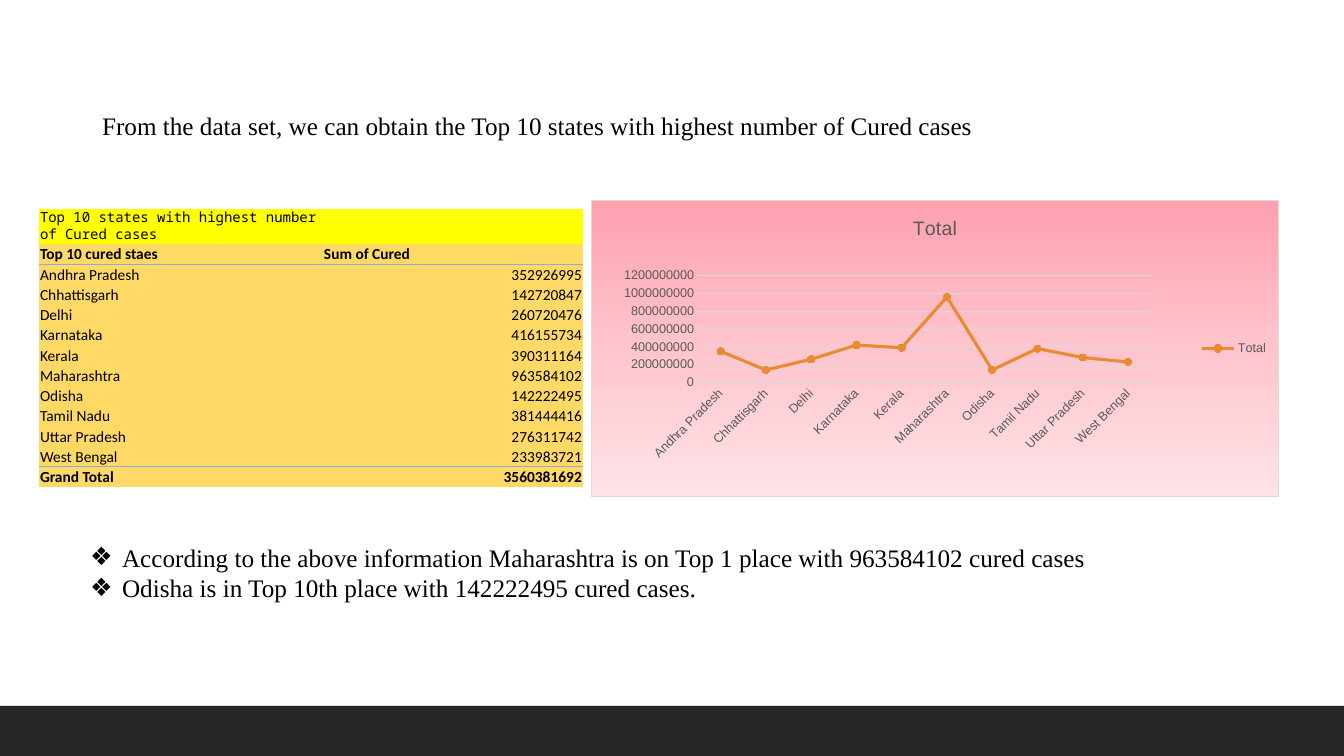
from lxml import etree
from pptx import Presentation
from pptx.chart.data import CategoryChartData
from pptx.dml.color import RGBColor
from pptx.enum.chart import XL_CHART_TYPE, XL_LEGEND_POSITION, XL_MARKER_STYLE, XL_TICK_MARK
from pptx.enum.shapes import MSO_SHAPE
from pptx.enum.text import MSO_ANCHOR, MSO_AUTO_SIZE, PP_ALIGN
from pptx.oxml import parse_xml
from pptx.oxml.ns import nsdecls, qn
from pptx.util import Emu, Pt

HEADING = "From the data set, we can obtain the Top 10 states with highest number of Cured cases"
TABLE_TITLE = "Top 10 states with highest number of Cured cases"
TABLE_HEADER = ("Top 10 cured staes", "Sum of Cured")
CURED = {
    "Andhra Pradesh": 352926995,
    "Chhattisgarh": 142720847,
    "Delhi": 260720476,
    "Karnataka": 416155734,
    "Kerala": 390311164,
    "Maharashtra": 963584102,
    "Odisha": 142222495,
    "Tamil Nadu": 381444416,
    "Uttar Pradesh": 276311742,
    "West Bengal": 233983721,
}
FINDINGS = [
    "According to the above information Maharashtra is on Top 1 place with 963584102 cured cases",
    "Odisha is in Top 10th place with 142222495 cured cases.",
]

BLACK = RGBColor(0x00, 0x00, 0x00)
CHARCOAL = RGBColor(0x26, 0x26, 0x26)
YELLOW = RGBColor(0xFF, 0xFF, 0x00)
GOLD = RGBColor(0xFF, 0xD9, 0x66)
RULE_BLUE = RGBColor(0x8E, 0xA9, 0xDB)
ORANGE = RGBColor(0xE8, 0x8B, 0x33)
GREY = RGBColor(0x59, 0x59, 0x59)
PALE_GREY = RGBColor(0xD9, 0xD9, 0xD9)
PINKS = {0: RGBColor(0xFF, 0xA0, 0xAF), 50: RGBColor(0xFF, 0xC5, 0xCE), 100: RGBColor(0xFF, 0xE3, 0xE7)}

SLIDE_WIDTH, SLIDE_HEIGHT = 1344, 756
FOOTER_TOP = 706
COLUMN_WIDTHS = (284, 260)
TITLE_ROW, DATA_ROWS = 35, 243
BULLET_INDENT = 32
PLOT_LAYOUT = {"x": 0.155, "y": 0.254, "w": 0.659, "h": 0.361}
NO_TABLE_STYLE = "{2D5ABB26-0587-4C30-8999-92F81FD0307C}"


def px(length):
    return Emu(round(length * 914400 / 100.8))


def place(shape, left, top, width, height):
    shape.left, shape.top, shape.width, shape.height = map(px, (left, top, width, height))


def style(font, size, name, color=BLACK, bold=False):
    font.size, font.name, font.bold = Pt(size), name, bold
    font.color.rgb = color


def write(para, text, size=18, name="Times New Roman", bold=False, align=PP_ALIGN.LEFT):
    para.alignment = align
    para.space_before = Pt(0)
    span = para.add_run()
    span.text = text
    style(span.font, size, name, bold=bold)


def open_frame(shape):
    frame = shape.text_frame
    frame.word_wrap = True
    frame.auto_size = MSO_AUTO_SIZE.NONE
    frame.vertical_anchor = MSO_ANCHOR.TOP
    return frame


def add_bullet(para):
    properties = para._p.get_or_add_pPr()
    properties.set("marL", str(px(BULLET_INDENT)))
    properties.set("indent", str(-px(BULLET_INDENT)))
    etree.SubElement(properties, qn("a:buChar")).set("char", "❖")


def add_bottom_border(cell):
    cell._tc.get_or_add_tcPr().insert(0, parse_xml(
        f'<a:lnB {nsdecls("a")} w="{Pt(0.5)}"><a:solidFill><a:srgbClr val="{RULE_BLUE}"/>'
        f'</a:solidFill></a:lnB>'))


def add_cured_table(page):
    rows = [(TABLE_TITLE, ""), TABLE_HEADER, *CURED.items(), ("Grand Total", sum(CURED.values()))]
    last = len(rows) - 1
    frame = page.shapes.add_table(len(rows), 2, px(39), px(209), px(sum(COLUMN_WIDTHS)),
                                  px(TITLE_ROW + DATA_ROWS))
    table = frame.table
    table.first_row = table.horz_banding = False
    table._tbl.tblPr.find(qn("a:tableStyleId")).text = NO_TABLE_STYLE
    for column, width in zip(table.columns, COLUMN_WIDTHS):
        column.width = px(width)
    for index, values in enumerate(rows):
        table.rows[index].height = px(DATA_ROWS / last if index else TITLE_ROW)
        for column, value in enumerate(values):
            cell = table.cell(index, column)
            cell.margin_left = cell.margin_right = cell.margin_top = px(1)
            cell.margin_bottom = 0
            cell.vertical_anchor = MSO_ANCHOR.BOTTOM if index else MSO_ANCHOR.MIDDLE
            cell.fill.solid()
            cell.fill.fore_color.rgb = GOLD if index else YELLOW
            write(cell.text_frame.paragraphs[0], str(value),
                  size=11 if index else 10,
                  name="Calibri" if index else "Noto Sans Mono",
                  bold=index in (1, last),
                  align=PP_ALIGN.RIGHT if isinstance(value, int) else PP_ALIGN.LEFT)
            if index in (1, last - 1):
                add_bottom_border(cell)
    table.cell(0, 0).text_frame.paragraphs[0].line_spacing = Pt(12)


def shade_chart(chart):
    """Give the chart area its pink gradient and thin border."""
    stops = "".join(f'<a:gs pos="{position * 1000}"><a:srgbClr val="{color}"/></a:gs>'
                    for position, color in PINKS.items())
    chart._chartSpace.find(qn("c:chart")).addnext(parse_xml(
        f'<c:spPr {nsdecls("c", "a")}><a:gradFill><a:gsLst>{stops}</a:gsLst>'
        f'<a:lin ang="5400000" scaled="0"/></a:gradFill><a:ln w="{Pt(0.75)}"><a:solidFill>'
        f'<a:srgbClr val="{PALE_GREY}"/></a:solidFill></a:ln></c:spPr>'))


def fix_plot_layout(chart):
    """Pin the inner plot area to fixed fractions of the chart."""
    area = chart._chartSpace.find(qn("c:chart")).find(qn("c:plotArea"))
    for layout in area.findall(qn("c:layout")):
        area.remove(layout)
    modes = '<c:xMode val="edge"/><c:yMode val="edge"/>'
    sizes = "".join(f'<c:{key} val="{value}"/>' for key, value in PLOT_LAYOUT.items())
    area.insert(0, parse_xml(
        f'<c:layout {nsdecls("c")}><c:manualLayout><c:layoutTarget val="inner"/>'
        f'{modes}{sizes}</c:manualLayout></c:layout>'))


def draw_line(line, color, width):
    line.color.rgb = color
    line.width = Pt(width)


def add_cured_chart(page):
    data = CategoryChartData()
    data.categories = list(CURED)
    data.add_series("Total", [round(amount, -7) for amount in CURED.values()])
    chart = page.shapes.add_chart(XL_CHART_TYPE.LINE_MARKERS, px(591), px(200), px(688), px(297),
                                  data).chart
    style(chart.font, 10, "Arial")
    chart.has_title = True
    para = chart.chart_title.text_frame.paragraphs[0]
    span = para.add_run()
    span.text = "Total"
    style(span.font, 14, "Arial", GREY)
    chart.chart_title.include_in_layout = False
    chart.has_legend = True
    chart.legend.position = XL_LEGEND_POSITION.RIGHT
    chart.legend.include_in_layout = False
    style(chart.legend.font, 9, "Arial", GREY)

    states, amounts = chart.category_axis, chart.value_axis
    for axis in (states, amounts):
        axis.major_tick_mark = axis.minor_tick_mark = XL_TICK_MARK.NONE
        style(axis.tick_labels.font, 9, "Arial", GREY)
    draw_line(states.format.line, PALE_GREY, 0.75)
    states._element.find(qn("c:txPr")).find(qn("a:bodyPr")).set("rot", "-2700000")
    amounts.format.line.fill.background()
    draw_line(amounts.major_gridlines.format.line, PALE_GREY, 0.75)
    amounts.minimum_scale, amounts.maximum_scale, amounts.major_unit = 0, 1200000000, 200000000

    chart.plots[0].vary_by_categories = False
    series = chart.plots[0].series[0]
    series.smooth = False
    draw_line(series.format.line, ORANGE, 2.25)
    series.marker.style, series.marker.size = XL_MARKER_STYLE.CIRCLE, 5
    series.marker.format.fill.solid()
    series.marker.format.fill.fore_color.rgb = ORANGE
    draw_line(series.marker.format.line, ORANGE, 0.75)
    shade_chart(chart)
    fix_plot_layout(chart)


def main():
    deck = Presentation()
    deck.slide_width, deck.slide_height = px(SLIDE_WIDTH), px(SLIDE_HEIGHT)
    page = deck.slides.add_slide(deck.slide_layouts[1])
    footer = page.shapes.add_shape(MSO_SHAPE.RECTANGLE, 0, px(FOOTER_TOP), px(SLIDE_WIDTH),
                                   px(SLIDE_HEIGHT - FOOTER_TOP))
    footer.shadow.inherit = False
    footer.fill.solid()
    footer.fill.fore_color.rgb = CHARCOAL
    footer.line.fill.background()
    add_cured_table(page)
    add_cured_chart(page)

    title, body = page.placeholders
    place(title, 92, 105, 1014, 40)
    write(open_frame(title).paragraphs[0], HEADING)
    place(body, 80, 537, 1183, 72)
    frame = open_frame(body)
    for index, finding in enumerate(FINDINGS):
        para = frame.add_paragraph() if index else frame.paragraphs[0]
        add_bullet(para)
        write(para, finding)
    deck.save("out.pptx")


if __name__ == "__main__":
    main()
